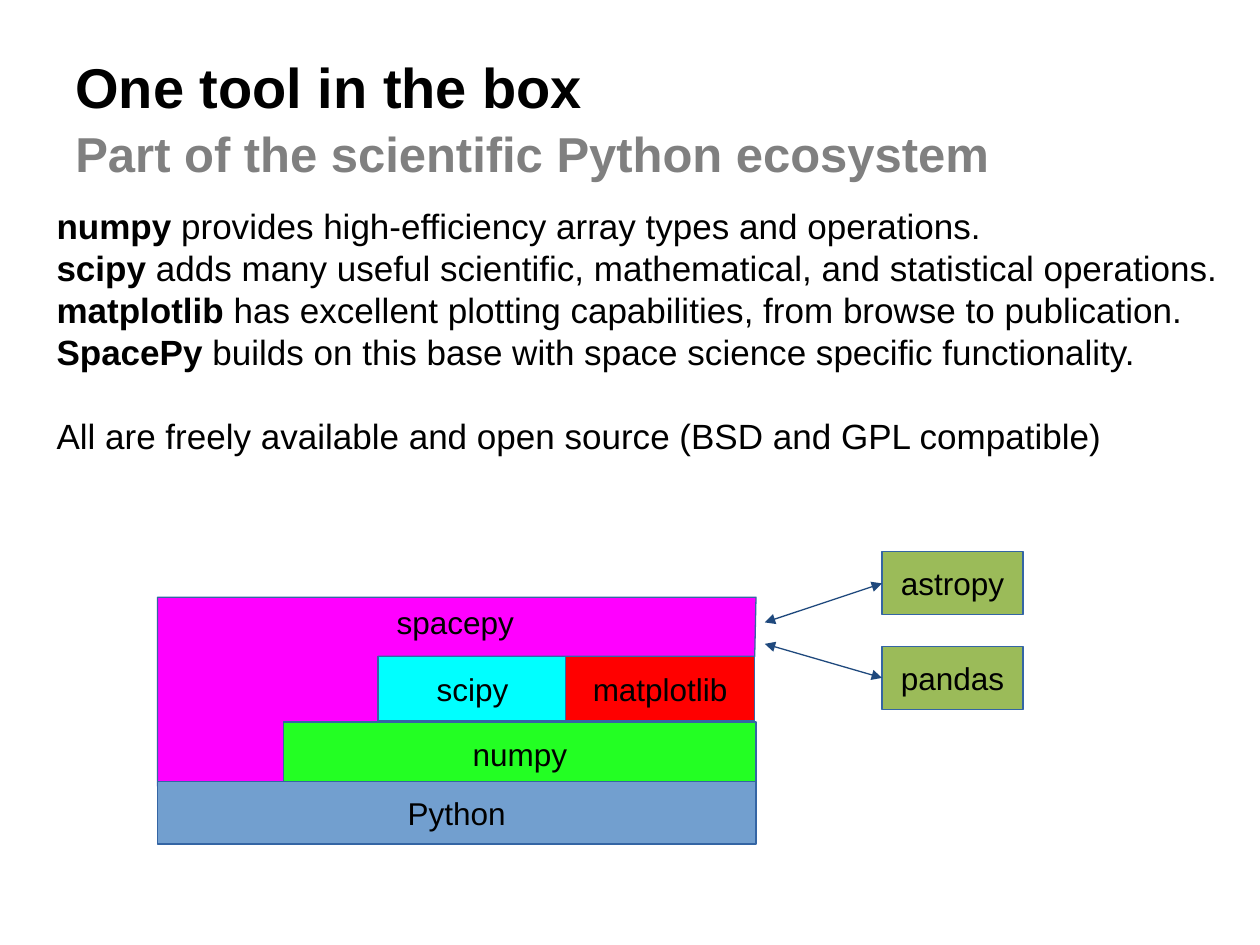
from lxml.etree import SubElement
from pptx import Presentation
from pptx.dml.color import RGBColor
from pptx.enum.shapes import MSO_CONNECTOR, MSO_SHAPE
from pptx.enum.text import MSO_ANCHOR, PP_ALIGN
from pptx.oxml.ns import qn
from pptx.util import Inches, Pt

# Content
TITLE = [("One tool in the box", 32, "000000"),
         ("Part of the scientific Python ecosystem", 28, "808080")]
BODY = [("numpy", " provides high-efficiency array types and operations."),
        ("scipy", " adds many useful scientific, mathematical, and statistical operations."),
        ("matplotlib", " has excellent plotting capabilities, from browse to publication."),
        ("SpacePy", " builds on this base with space science specific functionality.")]
LICENSE = "All are freely available and open source (BSD and GPL compatible)"

# Diagram: label, left, top, width, height, fill
LAYERS = [("scipy", 3, 5.21, 1.5, 0.51, "00FFFF"),
          ("matplotlib", 4.49, 5.21, 1.5, 0.51, "FF0000"),
          ("numpy", 2.25, 5.73, 3.75, 0.5, "23FF23"),
          ("Python", 1.25, 6.2, 4.75, 0.5, "729FCF")]
SPACEPY_OUTLINE = [(1.25, 6.24), (1.25, 4.74), (6, 4.74), (5.99, 5.21), (3, 5.21), (3, 6.24)]
# Partner package, top of its box, height where its arrow starts
PARTNERS = [("astropy", 4.38, 4.94), ("pandas", 5.13, 5.11)]
PARTNER_LEFT, PARTNER_W, PARTNER_H, ARROW_LEFT = 7, 1.12, 0.5, 6.07


def rgb(color):
    return RGBColor.from_string(color)


def add_run(p, text, size, color="000000", bold=False):
    r = p.add_run()
    r.text = text
    for name, value in {"name": "Arial", "size": Pt(size), "bold": bold}.items():
        setattr(r.font, name, value)
    r.font.color.rgb = rgb(color)


def set_frame(tf, anchor, inset_y=0.05):
    values = {"word_wrap": True, "vertical_anchor": anchor,
              "margin_left": Inches(0.1), "margin_right": Inches(0.1),
              "margin_top": Inches(inset_y), "margin_bottom": Inches(inset_y)}
    for name, value in values.items():
        setattr(tf, name, value)
    return tf


def add_text(s, box, anchor=MSO_ANCHOR.TOP, inset_y=0.05):
    sp = s.shapes.add_textbox(*map(Inches, box))
    return set_frame(sp.text_frame, anchor, inset_y)


def style(sp, fill):
    sp.shadow.inherit = False
    sp.fill.solid()
    sp.fill.fore_color.rgb = rgb(fill)
    sp.line.color.rgb = rgb("3465A4")
    sp.line.width = Pt(0.75)


def add_box(s, label, x, y, w, h, fill):
    sp = s.shapes.add_shape(MSO_SHAPE.RECTANGLE, *map(Inches, (x, y, w, h)))
    style(sp, fill)
    p = set_frame(sp.text_frame, MSO_ANCHOR.MIDDLE).paragraphs[0]
    p.alignment = PP_ALIGN.CENTER
    add_run(p, label, 18)
    return sp


def add_double_arrow(s, x, y, target):
    line = s.shapes.add_connector(MSO_CONNECTOR.STRAIGHT, Inches(x), Inches(y),
                                  target.left, target.top + target.height // 2)
    line.end_connect(target, 1)
    line.line.color.rgb = rgb("1F497D")
    line.line.width = Pt(0.75)
    ln = line.line._get_or_add_ln()
    for end in ("a:headEnd", "a:tailEnd"):
        SubElement(ln, qn(end), type="triangle")
    SubElement(line._element.spPr, qn("a:effectLst"))


def main():
    prs = Presentation()
    prs.slide_width, prs.slide_height = Inches(10), Inches(7.5)
    s = prs.slides.add_slide(prs.slide_layouts[6])

    # Title and subtitle
    p = add_text(s, (0.5, 0.3, 9, 1.25), MSO_ANCHOR.BOTTOM, 0.1).paragraphs[0]
    p.line_spacing = Pt(36)
    for i, (text, size, color) in enumerate(TITLE):
        if i:
            p.add_line_break()
        add_run(p, text, size, color, bold=True)

    # Body
    tf = add_text(s, (0.35, 1.57, 9.58, 2))
    for i, (package, rest) in enumerate(BODY + [("", LICENSE)]):
        p = tf.add_paragraph() if i else tf.paragraphs[0]
        p.line_spacing = Pt(24)
        if package:
            add_run(p, package, 20, bold=True)
        add_run(p, rest, 20)
    p.space_before = Pt(24)

    # SpacePy block wraps around the packages it builds on
    points = [(Inches(x), Inches(y)) for x, y in SPACEPY_OUTLINE]
    builder = s.shapes.build_freeform(*points[0])
    builder.add_line_segments(points[1:], close=True)
    style(builder.convert_to_shape(), "FF00FF")
    add_run(add_text(s, (3.05, 4.74, 1.2, 0.4)).paragraphs[0], "spacepy", 18)

    # Package layers
    for layer in LAYERS:
        add_box(s, *layer)

    # Partner packages and their arrows
    for label, top, arrow_y in PARTNERS:
        sp = add_box(s, label, PARTNER_LEFT, top, PARTNER_W, PARTNER_H, "9BBB59")
        add_double_arrow(s, ARROW_LEFT, arrow_y, sp)

    prs.save("out.pptx")


if __name__ == "__main__":
    main()
